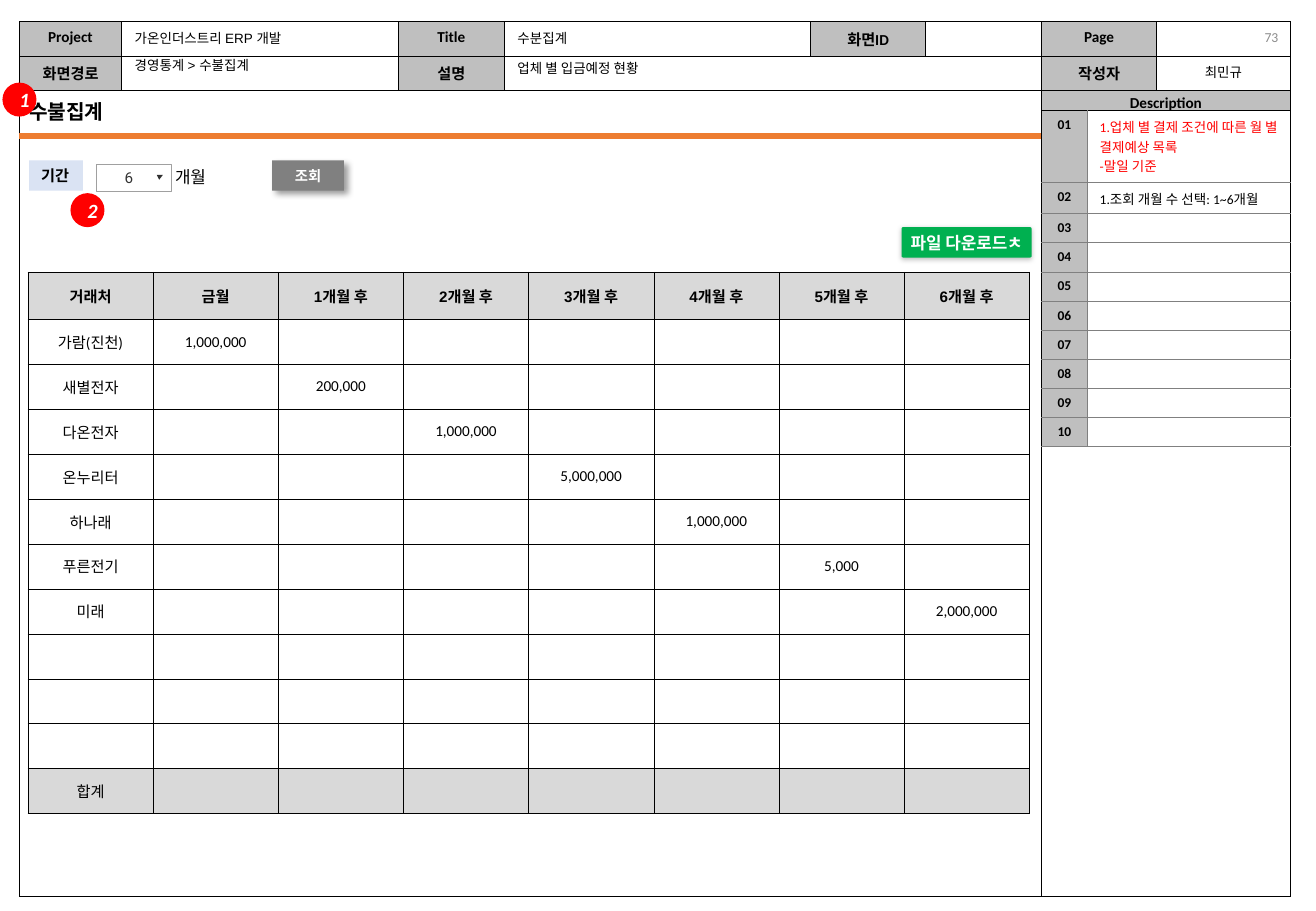
from dataclasses import dataclass
from typing import Any, Optional

from lxml import etree
from pptx import Presentation
from pptx.dml.color import RGBColor
from pptx.enum.shapes import MSO_CONNECTOR, MSO_SHAPE
from pptx.enum.text import MSO_ANCHOR, MSO_AUTO_SIZE, PP_ALIGN
from pptx.oxml.ns import qn
from pptx.util import Inches, Pt

LEFT, CENTER, RIGHT = PP_ALIGN.LEFT, PP_ALIGN.CENTER, PP_ALIGN.RIGHT
TOP, MIDDLE = MSO_ANCHOR.TOP, MSO_ANCHOR.MIDDLE
RECT, OVAL, ROUND = MSO_SHAPE.RECTANGLE, MSO_SHAPE.OVAL, MSO_SHAPE.ROUNDED_RECTANGLE
NO_FIT, STRAIGHT = MSO_AUTO_SIZE.NONE, MSO_CONNECTOR.STRAIGHT

BLACK, WHITE = RGBColor(0, 0, 0), RGBColor(255, 255, 255)
RED, GREEN = RGBColor(255, 0, 0), RGBColor(0, 0xB0, 0x50)
ORANGE, PALE = RGBColor(0xED, 0x7D, 0x31), RGBColor(0xDA, 0xE3, 0xF3)
SILVER, LIGHT = RGBColor(0xBF, 0xBF, 0xBF), RGBColor(0xD9, 0xD9, 0xD9)
GRAY, DIM = RGBColor(0x80, 0x80, 0x80), RGBColor(0x8C, 0x8C, 0x8C)
EDGE, DARK = RGBColor(0xA0, 0xA0, 0xA0), RGBColor(0x33, 0x33, 0x33)
ARROW = RGBColor(0x30, 0x30, 0x30)


@dataclass
class Style:
    size: float
    name: str = "Calibri"
    color: RGBColor = BLACK
    bold: bool = False
    italic: bool = False
    align: Any = CENTER
    anchor: Any = MIDDLE


@dataclass
class Box:
    kind: Any
    at: tuple[float, float, float, float]
    text: str
    style: Style
    fill: Optional[RGBColor] = None
    line: Optional[RGBColor] = None
    width: float = 0.5
    pads: tuple[float, float] = (0.1, 0.1)
    wrap: bool = True
    shade: Optional[tuple[int, float, float, int]] = None  # alpha, blur, distance, angle


HEAD = Style(9, bold=True, anchor=TOP)
NOTE = Style(8, align=LEFT, anchor=TOP)
INFO = Style(8, "Arial", align=LEFT)
CELL = Style(9)
BADGE = Style(12, color=WHITE, bold=True, italic=True)


def write(frame: Any, text: str, style: Style) -> None:
    frame.text = text
    for para in frame.paragraphs:
        para.alignment = style.align
        for run in para.runs:
            font = run.font
            font.size, font.name = Pt(style.size), style.name
            font.bold, font.italic = style.bold, style.italic
            font.color.rgb = style.color
        if not para.runs:
            etree.SubElement(para._p, qn("a:endParaRPr"), sz=str(int(style.size * 100)))


def paint(fill: Any, color: Optional[RGBColor]) -> None:
    if color is None:
        fill.background()
    else:
        fill.solid()
        fill.fore_color.rgb = color


def add_shade(shape: Any, alpha: int, blur: float, dist: float, angle: int) -> None:
    effects = shape._element.spPr.find(qn("a:effectLst"))
    outer = etree.SubElement(effects, qn("a:outerShdw"), blurRad=str(Pt(blur)),
                             dist=str(Pt(dist)), dir=str(angle * 60000), rotWithShape="0")
    color = etree.SubElement(outer, qn("a:srgbClr"), val=str(BLACK))
    etree.SubElement(color, qn("a:alpha"), val=str(alpha * 1000))


def add_box(slide: Any, box: Box) -> None:
    shape = slide.shapes.add_shape(box.kind, *map(Inches, box.at))
    shape.shadow.inherit = False
    if box.kind == ROUND:
        shape.adjustments[0] = 0.05
    paint(shape.fill, box.fill)
    paint(shape.line.fill, box.line)
    if box.line is not None:
        shape.line.width = Pt(box.width)
    if box.shade:
        add_shade(shape, *box.shade)
    frame = shape.text_frame
    frame.word_wrap, frame.vertical_anchor = box.wrap, box.style.anchor
    frame.margin_left, frame.margin_right = map(Inches, box.pads)
    write(frame, box.text, box.style)


def add_label(slide: Any, at: tuple[float, float, float, float], text: str, style: Style) -> None:
    frame = slide.shapes.add_textbox(*map(Inches, at)).text_frame
    frame.word_wrap, frame.vertical_anchor = False, MIDDLE
    write(frame, text, style)


def add_grid(slide: Any, x: float, y: float, cols: list[float], rows: list[float]) -> Any:
    size = map(Inches, (x, y, sum(cols), sum(rows)))
    grid = slide.shapes.add_table(len(rows), len(cols), *size).table
    grid.first_row = grid.horz_banding = False
    for col, width in zip(grid.columns, cols):
        col.width = Inches(width)
    for row, height in zip(grid.rows, rows):
        row.height = Inches(height)
    return grid


def set_cell(cell: Any, text: str, style: Style, fill: Optional[RGBColor],
             sides: tuple[RGBColor, ...] = (BLACK,) * 4, width: float = 0.5) -> None:
    """Sides run left, right, top, bottom."""
    props = cell._tc.get_or_add_tcPr()
    for side, color in zip("LRTB", sides):
        line = etree.SubElement(props, qn(f"a:ln{side}"), w=str(Pt(width)))
        solid = etree.SubElement(line, qn("a:solidFill"))
        etree.SubElement(solid, qn("a:srgbClr"), val=str(color))
    paint(cell.fill, fill)
    cell.vertical_anchor = style.anchor
    write(cell.text_frame, text, style)


def add_frame(slide: Any) -> None:
    texts = [["Project", "", "Title", "", "화면ID", "", "Page", ""],
             ["화면경로", "", "설명", "", "", "", "작성자", "최민규"],
             ["", "", "", "", "", "", "Description", ""],
             [""] * 8]
    grid = add_grid(slide, 0.16, 0.18, [0.84, 2.28, 0.87, 2.52, 0.95, 0.95, 0.95, 1.1],
                    [0.28, 0.28, 0.18, 6.45])
    for r, row in enumerate(texts):
        for c, text in enumerate(row):
            name = c == 7
            style = Style(8, anchor=TOP) if name or not text else HEAD
            cell = grid.cell(r, c)
            set_cell(cell, text, style, SILVER if text and not name else None)
            if r == 2:
                cell.margin_top, cell.margin_bottom = Inches(0.03), 0
                if not text:
                    write(cell.text_frame, "", Style(6))
    for (top, left), (bottom, right) in [((1, 3), (1, 5)), ((2, 0), (3, 5)),
                                         ((2, 6), (2, 7)), ((3, 6), (3, 7))]:
        grid.cell(top, left).merge(grid.cell(bottom, right))


def add_notes(slide: Any) -> None:
    notes = ["1.업체 별 결제 조건에 따른 월 별 결제예상 목록\n-말일 기준",
             "1.조회 개월 수 선택: 1~6개월"] + [""] * 8
    grid = add_grid(slide, 8.57, 0.91, [0.38, 1.67], [0.59, 0.26] + [0.24] * 8)
    num = Style(8, bold=True, anchor=TOP)
    for r, note in enumerate(notes):
        top = GRAY if r else BLACK
        set_cell(grid.cell(r, 0), f"{r + 1:02}", num, SILVER, (BLACK, GRAY, top, GRAY))
        style = NOTE if r else Style(8, color=RED, align=LEFT, anchor=TOP)
        set_cell(grid.cell(r, 1), note, style, WHITE, (GRAY, BLACK, top, GRAY))


def add_sums(slide: Any) -> None:
    # Each client pays in one month, one column further right per row
    pays = [("가람(진천)", "1,000,000"), ("새별전자", "200,000"), ("다온전자", "1,000,000"),
            ("온누리터", "5,000,000"), ("하나래", "1,000,000"), ("푸른전기", "5,000"),
            ("미래", "2,000,000")]
    rows = [["거래처", "금월"] + [f"{n}개월 후" for n in range(1, 7)]]
    rows += [[client] + [""] * n + [pay] + [""] * (6 - n) for n, (client, pay) in enumerate(pays)]
    rows += [[""] * 8 for _ in range(3)] + [["합계"] + [""] * 7]
    grid = add_grid(slide, 0.23, 2.24, [1.03] * 8, [0.39] + [0.37] * 11)
    for r, row in enumerate(rows):
        for c, text in enumerate(row):
            style = CELL if r else Style(9, "Arial", bold=True)
            set_cell(grid.cell(r, c), text, style, LIGHT if r in (0, 11) else None, width=0.25)


def add_title(slide: Any) -> None:
    title = slide.shapes.title
    title.left, title.top, title.width, title.height = map(Inches, (0.14, 0.77, 0.88, 0.3))
    frame = title.text_frame
    frame.word_wrap, frame.auto_size, frame.vertical_anchor = False, NO_FIT, MIDDLE
    write(frame, "수불집계", Style(12, "Arial", bold=True, align=LEFT))
    rule = slide.shapes.add_connector(STRAIGHT, *map(Inches, (0.16, 1.12, 8.57, 1.12)))
    rule.line.color.rgb, rule.line.width = ORANGE, Pt(3)
    etree.SubElement(rule._element.spPr, qn("a:effectLst"))


def add_arrow(slide: Any) -> None:
    pen = slide.shapes.build_freeform(Inches(1.31), Inches(1.48))
    pen.add_line_segments([(Inches(1.29), Inches(1.44)), (Inches(1.34), Inches(1.44))])
    arrow = pen.convert_to_shape()
    arrow.shadow.inherit = False
    paint(arrow.fill, ARROW)
    arrow.line.fill.background()


def main() -> None:
    deck = Presentation()
    deck.slide_width, deck.slide_height = Inches(10.83), Inches(7.5)
    slide = deck.slides.add_slide(deck.slide_layouts[5])

    # Page frame and header entries
    add_frame(slide)
    add_label(slide, (8.18, 0.2, 2.44, 0.21), "73", Style(8.1, color=DIM, align=RIGHT))
    add_label(slide, (1.01, 0.19, 1.51, 0.24), "가온인더스트리 ERP 개발", INFO)
    add_label(slide, (1.01, 0.42, 1.26, 0.24), "경영통계 > 수불집계", INFO)
    add_label(slide, (4.16, 0.19, 0.65, 0.24), "수분집계", INFO)
    add_label(slide, (4.16, 0.44, 1.33, 0.24), "업체 별 입금예정 현황", INFO)

    # Content tables
    add_notes(slide)
    add_title(slide)
    add_sums(slide)

    # Search controls and badges
    boxes = [
        Box(RECT, (2.24, 1.32, 0.59, 0.25), "조회", Style(8.5, "Roboto", WHITE, True), GRAY,
            wrap=False, shade=(40, 4, 3, 45)),
        Box(RECT, (0.24, 1.32, 0.45, 0.25), "기간", Style(9, "Arial", bold=True, align=LEFT),
            PALE, wrap=False),
        Box(RECT, (0.69, 1.32, 1.21, 0.27), "개월", Style(10, align=LEFT), line=WHITE,
            width=0.75, pads=(0.75, 0.1)),
        Box(RECT, (0.79, 1.35, 0.62, 0.23), "6", Style(9, "Roboto", DARK), WHITE, EDGE,
            pads=(0.06, 0.14)),
        Box(OVAL, (0.02, 0.68, 0.28, 0.28), "1", BADGE, RED),
        Box(OVAL, (0.58, 1.59, 0.28, 0.28), "2", BADGE, RED),
        Box(ROUND, (7.42, 1.87, 1.07, 0.25), "파일 다운로드ㅊ", Style(10, "Roboto", WHITE, True),
            GREEN, pads=(0.08, 0.08), wrap=False, shade=(25, 3, 1, 90)),
    ]
    for box in boxes:
        add_box(slide, box)
    add_arrow(slide)
    deck.save("out.pptx")


if __name__ == "__main__":
    main()
